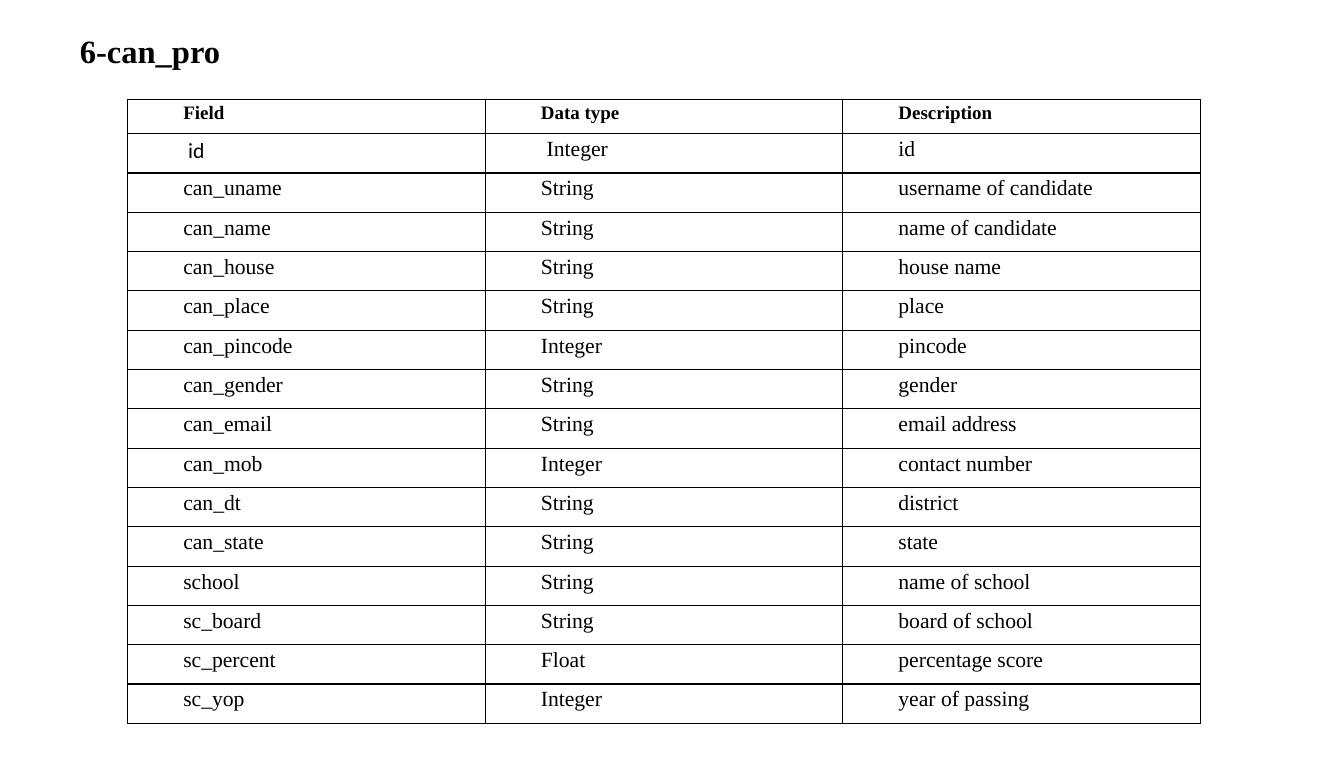
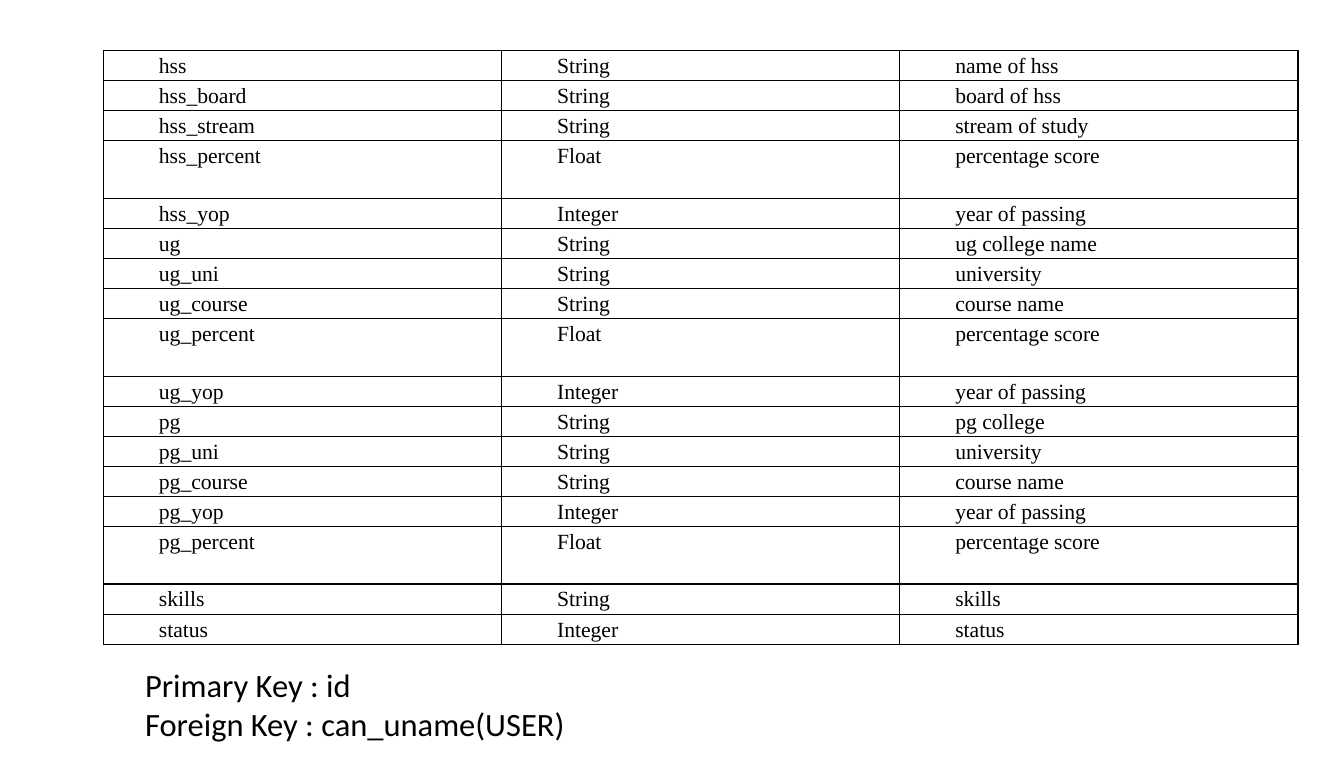
import pptx
import pptx.dml.color
import pptx.enum.text
import pptx.oxml
import pptx.oxml.ns
import pptx.util

Inches = pptx.util.Inches
BLACK = pptx.dml.color.RGBColor(0, 0, 0)
WHITE = pptx.dml.color.RGBColor(255, 255, 255)
SERIF = "Times New Roman"
SANS = "Calibri"
BORDER = (
    '<a:{side} {ns} w="12700"><a:solidFill><a:srgbClr val="{color}"/></a:solidFill>'
    '<a:prstDash val="solid"/></a:{side}>'
)


def write(frame, text, size=16, font=SERIF, bold=False, indent=0, spacing=None):
    for number, line in enumerate(text.split("\n")):
        paragraph = frame.add_paragraph() if number else frame.paragraphs[0]
        if indent:
            properties = paragraph._p.get_or_add_pPr()
            properties.set("marL", str(Inches(indent)))
            properties.set("indent", "0")
        paragraph.line_spacing = spacing
        run = paragraph.add_run()
        run.text = line
        run.font.size = pptx.util.Pt(size)
        run.font.name = font
        run.font.bold = bold
        run.font.color.rgb = BLACK


def add_fields(slide, fields, left, top, width, heights, styles):
    grid = slide.shapes.add_table(
        len(fields), 3, Inches(left), Inches(top), Inches(width), Inches(sum(heights))
    ).table
    grid.first_row = False
    grid.horz_banding = False
    for column in grid.columns:
        column.width = Inches(width / 3)
    for r, (field, height) in enumerate(zip(fields, heights)):
        grid.rows[r].height = Inches(height)
        for c, value in enumerate(field):
            cell = grid.cell(r, c)
            cell.margin_left = cell.margin_right = Inches(0.07)
            cell.margin_top = cell.margin_bottom = 0
            cell.fill.background()
            for position, side in enumerate(("lnL", "lnR", "lnT", "lnB")):
                border = BORDER.format(side=side, ns=pptx.oxml.ns.nsdecls("a"), color=BLACK)
                cell._tc.get_or_add_tcPr().insert(position, pptx.oxml.parse_xml(border))
            style = {"indent": 0.5, "spacing": 1.15} | styles.get((r, c), {})
            write(cell.text_frame, value, **style)


deck = pptx.Presentation()
deck.slide_width = Inches(13 + 25 / 32)
deck.slide_height = Inches(7 + 7 / 8)

candidate_fields = [
    ("Field", "Data type", "Description"),
    ("id", "Integer", "id"),
    ("can_uname", "String", "username of candidate"),
    ("can_name", "String", "name of candidate"),
    ("can_house", "String", "house name"),
    ("can_place", "String", "place"),
    ("can_pincode", "Integer", "pincode"),
    ("can_gender", "String", "gender"),
    ("can_email", "String", "email address"),
    ("can_mob", "Integer", "contact number"),
    ("can_dt", "String", "district"),
    ("can_state", "String", "state"),
    ("school", "String", "name of school"),
    ("sc_board", "String", "board of school"),
    ("sc_percent", "Float", "percentage score"),
    ("sc_yop", "Integer", "year of passing"),
]
candidate_heights = [0.35] + [(6.4 - 0.35) / 15] * 15
candidate_styles = {(0, c): {"size": 14, "bold": True} for c in range(3)}
candidate_styles[1, 0] = {"font": SANS, "indent": 0.55}
candidate_styles[1, 1] = {"indent": 0.56}

education_fields = [
    ("hss", "String", "name of hss"),
    ("hss_board", "String", "board of hss"),
    ("hss_stream", "String", "stream of study"),
    ("hss_percent", "Float", "percentage score"),
    ("hss_yop", "Integer", "year of passing"),
    ("ug", "String", "ug college name"),
    ("ug_uni", "String", "university"),
    ("ug_course", "String", "course name"),
    ("ug_percent", "Float", "percentage score"),
    ("ug_yop", "Integer", "year of passing"),
    ("pg", "String", "pg college"),
    ("pg_uni", "String", "university"),
    ("pg_course", "String", "course name"),
    ("pg_yop", "Integer", "year of passing"),
    ("pg_percent", "Float", "percentage score"),
    ("skills", "String", "skills"),
    ("status", "Integer", "status"),
]
percent_height = 0.59
plain_height = (6.09 - 3 * percent_height) / 14
education_heights = [
    percent_height if data_type == "Float" else plain_height
    for _, data_type, _ in education_fields
]

candidate_page, education_page = [
    deck.slides.add_slide(deck.slide_layouts[6]) for _ in range(2)
]
keys = "Primary Key : id\nForeign Key : can_uname(USER)"
captions = [
    (candidate_page, "6-can_pro", (0.72, 0.27, 1.65, 0.5), {"bold": True}),
    (education_page, keys, (1.39, 6.77, 4.54, 0.91), {"font": SANS}),
]

add_fields(education_page, education_fields, 1.06, 0.52, 12.25, education_heights, {})
for page, text, place, style in captions:
    page.background.fill.solid()
    page.background.fill.fore_color.rgb = WHITE
    caption = page.shapes.add_textbox(*map(Inches, place)).text_frame
    caption.word_wrap = False
    caption.auto_size = pptx.enum.text.MSO_AUTO_SIZE.SHAPE_TO_FIT_TEXT
    write(caption, text, size=24, **style)
add_fields(
    candidate_page, candidate_fields, 1.31, 1.02, 11, candidate_heights, candidate_styles
)

deck.save("out.pptx")
